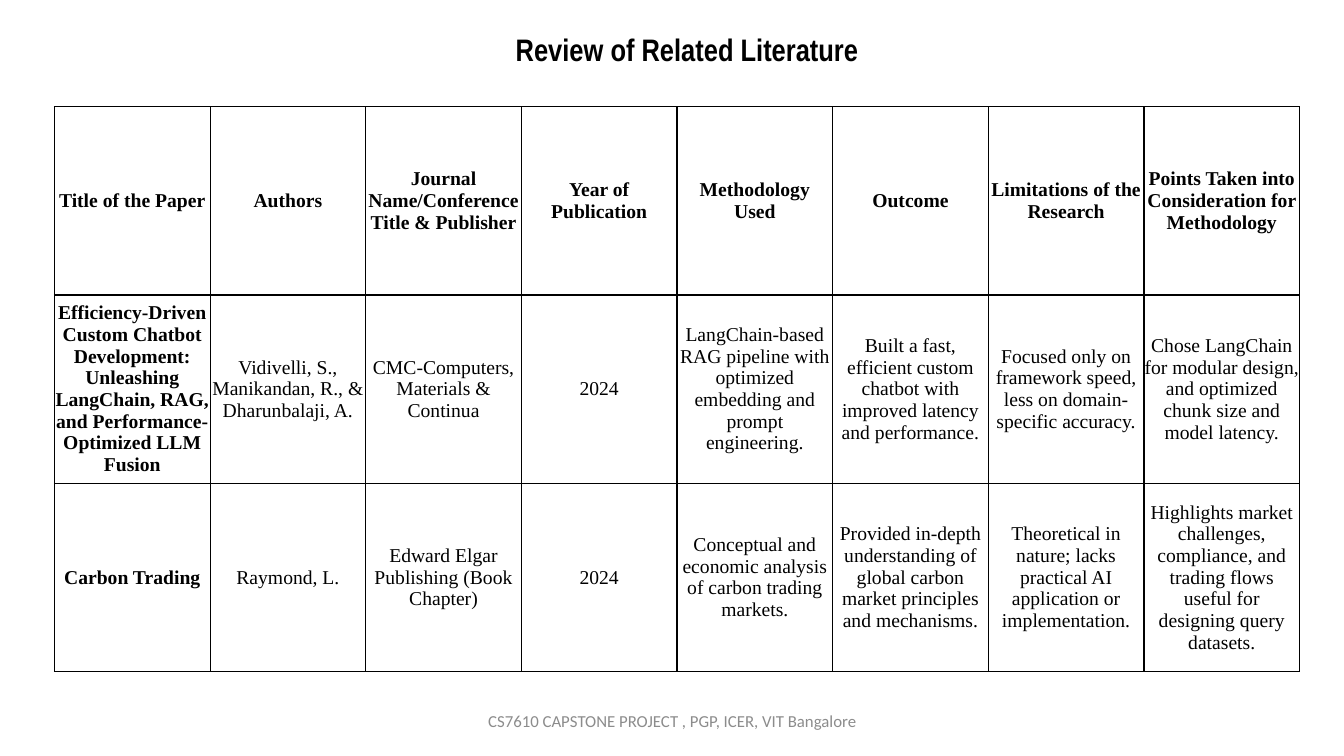
from dataclasses import dataclass

from lxml import etree
from pptx import Presentation
from pptx.dml.color import RGBColor
from pptx.enum.text import MSO_ANCHOR, MSO_AUTO_SIZE, PP_ALIGN
from pptx.oxml.ns import qn
from pptx.util import Pt

CENTER = PP_ALIGN.CENTER
TOP, MIDDLE = MSO_ANCHOR.TOP, MSO_ANCHOR.MIDDLE
GROW = MSO_AUTO_SIZE.SHAPE_TO_FIT_TEXT
TITLE_ONLY = 5
EMU_PER_PX = 9144  # 100 px to the inch


@dataclass(frozen=True)
class TextStyle:
    font: str
    size: float
    color: str
    bold: bool = False


@dataclass(frozen=True)
class Theme:
    title = TextStyle("Arial Narrow", 22.2, "000000", True)
    label = TextStyle("Times New Roman", 14, "000000", True)
    cell = TextStyle("Times New Roman", 14, "000000")
    footer = TextStyle("Calibri", 12, "8C8C8C")
    paper = "FFFFFF"
    border = "000000"
    border_width = 1


LITERATURE = [
    [
        "Title of the Paper",
        "Authors",
        "Journal Name/Conference Title & Publisher",
        "Year of Publication",
        "Methodology Used",
        "Outcome",
        "Limitations of the Research",
        "Points Taken into Consideration for Methodology",
    ],
    [
        "Efficiency-Driven Custom Chatbot Development: Unleashing LangChain, RAG, "
        "and Performance-Optimized LLM Fusion",
        "Vidivelli, S., Manikandan, R., & Dharunbalaji, A.",
        "CMC-Computers, Materials & Continua",
        "2024",
        "LangChain-based RAG pipeline with optimized embedding and prompt engineering.",
        "Built a fast, efficient custom chatbot with improved latency and performance.",
        "Focused only on framework speed, less on domain-specific accuracy.",
        "Chose LangChain for modular design, and optimized chunk size and model latency.",
    ],
    [
        "Carbon Trading",
        "Raymond, L.",
        "Edward Elgar Publishing (Book Chapter)",
        "2024",
        "Conceptual and economic analysis of carbon trading markets.",
        "Provided in-depth understanding of global carbon market principles and mechanisms.",
        "Theoretical in nature; lacks practical AI application or implementation.",
        "Highlights market challenges, compliance, and trading flows useful for "
        "designing query datasets.",
    ],
]


def px(length):
    return length * EMU_PER_PX


class SlideBuilder:
    def __init__(self, slide, theme):
        self.slide = slide
        self.theme = theme

    def add_text(self, frame, text, style):
        paragraph = frame.paragraphs[0]
        paragraph.alignment = CENTER
        span = paragraph.add_run()
        span.text = text
        span.font.name = style.font
        span.font.size = Pt(style.size)
        span.font.bold = style.bold
        span.font.color.rgb = RGBColor.from_string(style.color)

    def title(self, text, left, top, width, height):
        box = self.slide.shapes.title
        box.left, box.top, box.width, box.height = map(px, (left, top, width, height))
        frame = box.text_frame
        frame.word_wrap = True
        frame.auto_size = GROW
        frame.vertical_anchor = TOP
        self.add_text(frame, text, self.theme.title)

    def footer(self, text, left, top, width, height):
        box = self.slide.shapes.add_textbox(*map(px, (left, top, width, height)))
        box.text_frame.word_wrap = True
        box.text_frame.vertical_anchor = MIDDLE
        self.add_text(box.text_frame, text, self.theme.footer)

    def outline(self, cell):
        """Draw the four borders of a cell, placed ahead of its fill."""
        properties = cell._tc.get_or_add_tcPr()
        for position, side in enumerate(("lnL", "lnR", "lnT", "lnB")):
            line = etree.Element(qn(f"a:{side}"), w=str(Pt(self.theme.border_width)))
            fill = etree.SubElement(line, qn("a:solidFill"))
            etree.SubElement(fill, qn("a:srgbClr"), val=self.theme.border)
            properties.insert(position, line)

    def table(self, rows, left, top, width, height):
        """Add an evenly divided grid with bold first row and column."""
        frame = self.slide.shapes.add_table(
            len(rows), len(rows[0]), *map(px, (left, top, width, height))
        )
        table = frame.table
        table.first_row = table.horz_banding = False
        for row_index, row in enumerate(rows):
            for column_index, text in enumerate(row):
                cell = table.cell(row_index, column_index)
                cell.fill.solid()
                cell.fill.fore_color.rgb = RGBColor.from_string(self.theme.paper)
                cell.margin_left = cell.margin_right = 0
                cell.margin_top = cell.margin_bottom = 0
                cell.vertical_anchor = MIDDLE
                is_label = row_index == 0 or column_index == 0
                style = self.theme.label if is_label else self.theme.cell
                self.add_text(cell.text_frame, text, style)
                self.outline(cell)


def main():
    deck = Presentation()
    deck.slide_width, deck.slide_height = px(1333), px(750)
    page = deck.slides.add_slide(deck.slide_layouts[TITLE_ONLY])
    builder = SlideBuilder(page, Theme())
    builder.table(LITERATURE, 54, 106, 1235, 560)
    builder.title("Review of Related Literature", 348, 25, 667, 47)
    builder.footer(
        "CS7610 CAPSTONE PROJECT , PGP, ICER, VIT Bangalore", 442, 695, 450, 40
    )
    deck.save("out.pptx")


if __name__ == "__main__":
    main()
